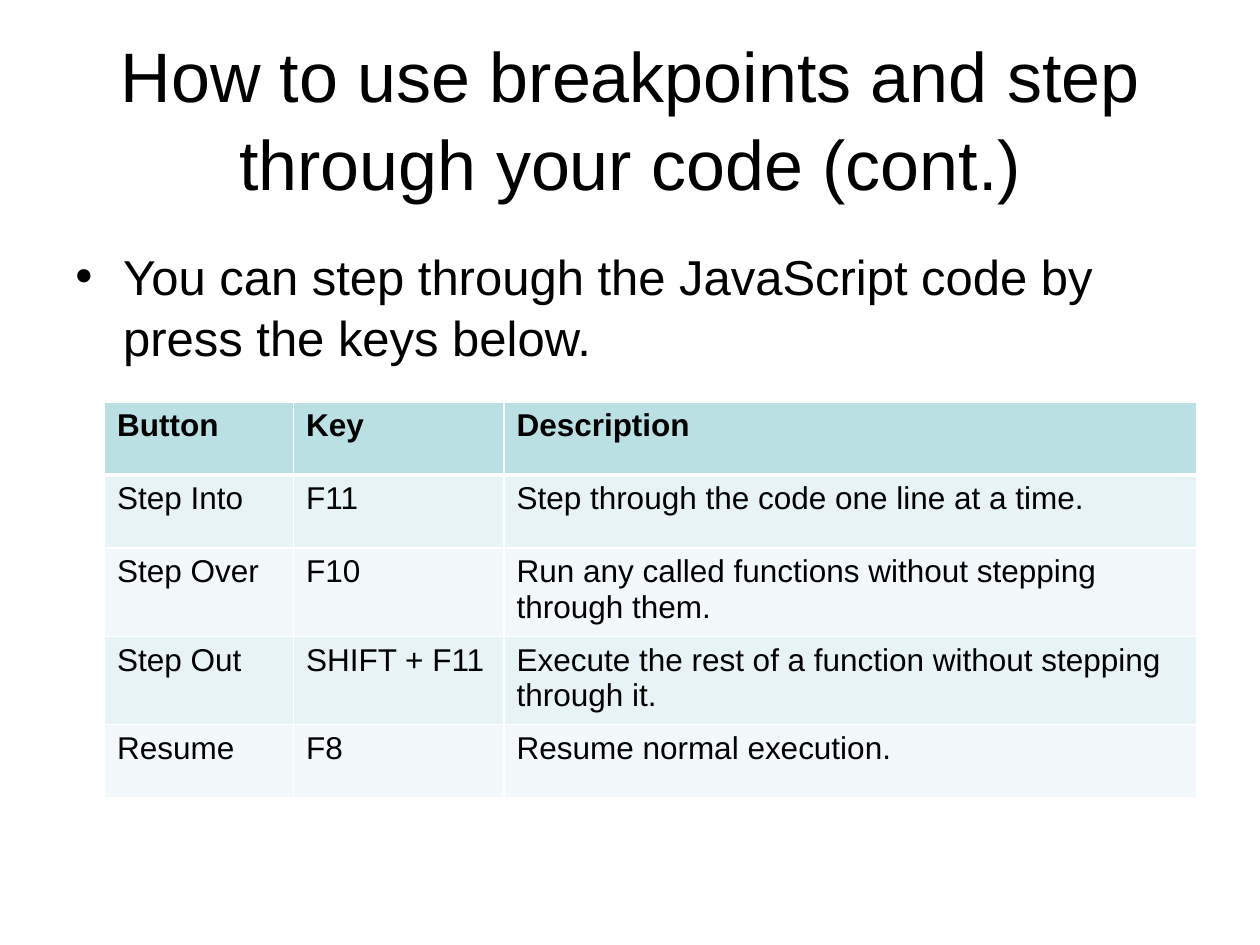
from lxml import etree
from pptx import Presentation
from pptx.dml.color import RGBColor
from pptx.enum.text import MSO_ANCHOR, PP_ALIGN
from pptx.oxml.ns import qn
from pptx.util import Inches, Pt

CENTER, LEFT = PP_ALIGN.CENTER, PP_ALIGN.LEFT
MIDDLE, TOP = MSO_ANCHOR.MIDDLE, MSO_ANCHOR.TOP
TITLE_ONLY = 5
FONT = "Arial"
COLORS = {
    "text": "000000",
    "border": "FFFFFF",
    "header": "BBE0E3",
    "odd_row": "E7F3F4",
    "even_row": "F3F9FA",
}
COLUMN_WIDTHS = [1.5, 1.67, 5.5]
ROW_HEIGHT = 0.58
KEY_ROWS = [
    ("Button", "Key", "Description"),
    ("Step Into", "F11", "Step through the code one line at a time."),
    ("Step Over", "F10", "Run any called functions without stepping through them."),
    ("Step Out", "SHIFT + F11", "Execute the rest of a function without stepping through it."),
    ("Resume", "F8", "Resume normal execution."),
]


def color(name):
    return RGBColor.from_string(COLORS[name])


def write_text(frame, text, size, bold=False, align=LEFT, anchor=TOP, spacing=None):
    frame.word_wrap = True
    frame.vertical_anchor = anchor
    paragraph = frame.paragraphs[0]
    paragraph.alignment = align
    paragraph.line_spacing = spacing
    run = paragraph.add_run()
    run.text = text
    run.font.name = FONT
    run.font.size = Pt(size)
    run.font.bold = bold
    run.font.color.rgb = color("text")
    return paragraph


def add_bullet(paragraph, indent):
    properties = paragraph._p.get_or_add_pPr()
    properties.set("marL", str(indent))
    properties.set("indent", str(-indent))
    etree.SubElement(properties, qn("a:buFont"), typeface=FONT)
    etree.SubElement(properties, qn("a:buChar"), char="•")


def set_borders(cell, bottom_width):
    """Draw the four cell borders, which the schema wants ahead of the fill."""
    properties = cell._tc.get_or_add_tcPr()
    widths = {"a:lnL": 1, "a:lnR": 1, "a:lnT": 1, "a:lnB": bottom_width}
    for position, (tag, width) in enumerate(widths.items()):
        line = etree.Element(qn(tag), w=str(Pt(width)))
        fill = etree.SubElement(line, qn("a:solidFill"))
        etree.SubElement(fill, qn("a:srgbClr"), val=COLORS["border"])
        properties.insert(position, line)


def place_title(slide, left, top, width, height):
    title = slide.shapes.title
    title.left, title.top, title.width, title.height = left, top, width, height
    write_text(title.text_frame, "How to use breakpoints and step through your code (cont.)",
               size=40, align=CENTER, anchor=MIDDLE, spacing=1.05)


def add_body(slide, left, top, width, height):
    body = slide.shapes.add_textbox(left, top, width, height)
    paragraph = write_text(body.text_frame,
                           "You can step through the JavaScript code by press the keys below.",
                           size=28, spacing=1.05)
    add_bullet(paragraph, Inches(0.38))


def add_key_table(slide, left, top):
    width, height = Inches(sum(COLUMN_WIDTHS)), Inches(ROW_HEIGHT * len(KEY_ROWS))
    table = slide.shapes.add_table(len(KEY_ROWS), len(COLUMN_WIDTHS),
                                   left, top, width, height).table
    for column, column_width in zip(table.columns, COLUMN_WIDTHS):
        column.width = Inches(column_width)
    for row_index, texts in enumerate(KEY_ROWS):
        is_header = row_index == 0
        band = "header" if is_header else "odd_row" if row_index % 2 else "even_row"
        table.rows[row_index].height = Inches(ROW_HEIGHT)
        for column_index, text in enumerate(texts):
            cell = table.cell(row_index, column_index)
            cell.fill.solid()
            cell.fill.fore_color.rgb = color(band)
            set_borders(cell, bottom_width=3 if is_header else 1)
            write_text(cell.text_frame, text, size=18, bold=is_header)


def main():
    presentation = Presentation()
    presentation.slide_width, presentation.slide_height = Inches(10), Inches(7.5)
    slide = presentation.slides.add_slide(presentation.slide_layouts[TITLE_ONLY])
    place_title(slide, Inches(0.5), Inches(0.3), Inches(9), Inches(1.25))
    add_body(slide, Inches(0.5), Inches(1.88), Inches(9.17), Inches(4.95))
    add_key_table(slide, Inches(0.83), Inches(3.19))
    presentation.save("out.pptx")


if __name__ == "__main__":
    main()
